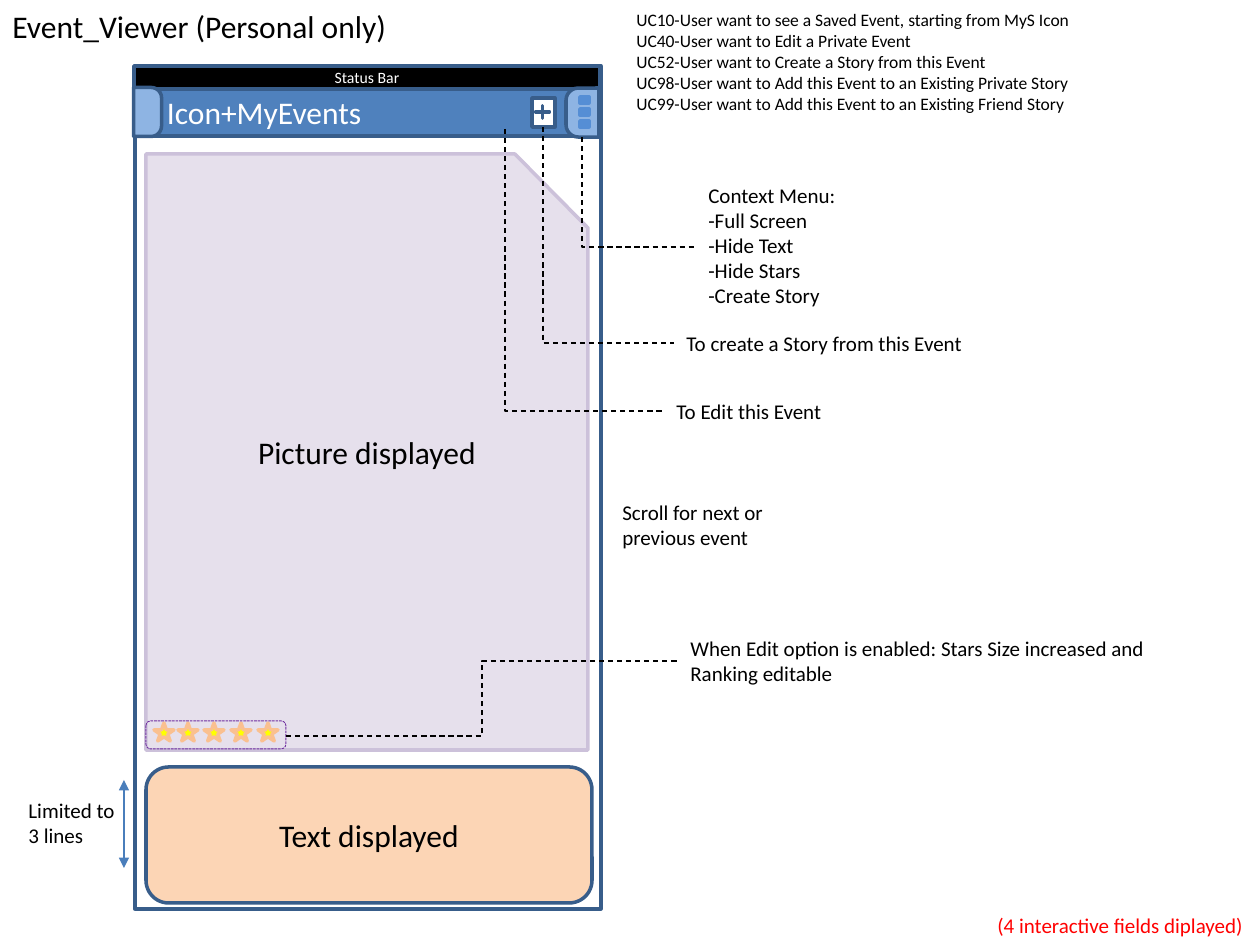
from lxml.etree import SubElement
from pptx import Presentation
from pptx.dml.color import RGBColor
from pptx.enum.dml import MSO_LINE
from pptx.enum.shapes import MSO_CONNECTOR, MSO_SHAPE
from pptx.enum.text import MSO_ANCHOR, MSO_AUTO_SIZE, PP_ALIGN
from pptx.oxml.ns import qn
from pptx.util import Emu, Pt

PX = 914400 / 126
NAVY = "385D8A"
BLACK = "000000"
WHITE = "FFFFFF"


def px(*values):
    return [Emu(round(value * PX)) for value in values]


def color(value):
    return RGBColor.from_string(value)


class Wireframe:
    """Draws styled wireframe elements on the current page."""

    font = "Calibri"

    def __init__(self, deck):
        self.page = deck.slides.add_slide(deck.slide_layouts[6])
        self.shapes = self.page.shapes

    def add_lines(self, frame, lines, size, ink, align=PP_ALIGN.LEFT):
        for index, line in enumerate(lines):
            para = frame.paragraphs[0] if index == 0 else frame.add_paragraph()
            para.alignment = align
            span = para.add_run()
            span.text = line
            span.font.name = self.font
            span.font.size = Pt(size)
            span.font.color.rgb = color(ink)

    def note(self, area, *lines, size=12, ink=BLACK, wrap=True):
        box = self.shapes.add_textbox(*px(*area))
        frame = box.text_frame
        frame.word_wrap = wrap
        frame.auto_size = MSO_AUTO_SIZE.SHAPE_TO_FIT_TEXT
        self.add_lines(frame, lines, size, ink)

    def outline(self, item, ink, width, dash=None):
        item.line.color.rgb = color(ink)
        item.line.width = Pt(width)
        if dash:
            item.line.dash_style = dash

    def paint(self, shape, fill, ink, width=2, dash=None):
        shape.shadow.inherit = False
        if fill:
            shape.fill.solid()
            shape.fill.fore_color.rgb = color(fill)
        else:
            shape.fill.background()
        self.outline(shape, ink, width, dash)
        return shape

    def shape(self, kind, area, fill, ink=NAVY, width=2, dash=None, adjust=(), turn=0):
        shape = self.shapes.add_shape(kind, *px(*area))
        for index, value in enumerate(adjust):
            shape.adjustments[index] = value
        shape.rotation = turn
        return self.paint(shape, fill, ink, width, dash)

    def polygon(self, points, fill, ink):
        corners = [px(*point) for point in points]
        builder = self.shapes.build_freeform(*corners[0])
        builder.add_line_segments(corners[1:], close=True)
        return self.paint(builder.convert_to_shape(), fill, ink)

    def label(self, shape, text, size=18, ink=BLACK, align=PP_ALIGN.CENTER, inset=None):
        frame = shape.text_frame
        frame.word_wrap = True
        frame.vertical_anchor = MSO_ANCHOR.MIDDLE
        if inset is not None:
            frame.margin_left = px(inset)[0]
        self.add_lines(frame, [text], size, ink, align)

    def connector(self, kind, start, end, ink=BLACK, dash=None):
        line = self.shapes.add_connector(kind, *px(*start, *end))
        self.outline(line, ink, 0.75, dash)
        SubElement(line._element.spPr, qn("a:effectLst"))
        return line

    def double_arrow(self, start, end, ink):
        line = self.connector(MSO_CONNECTOR.STRAIGHT, start, end, ink)
        stroke = line._element.spPr.find(qn("a:ln"))
        for tip in ("a:headEnd", "a:tailEnd"):
            SubElement(stroke, qn(tip), type="triangle")

    def step(self, start, end):
        return self.connector(MSO_CONNECTOR.ELBOW, start, end, dash=MSO_LINE.DASH)

    def corner(self, start, end):
        (x1, y1), (x2, y2) = start, end
        middle_x, middle_y = (x1 + x2) / 2, (y1 + y2) / 2
        half_width, half_height = (y2 - y1) / 2, (x2 - x1) / 2
        line = self.step(
            (middle_x - half_width, middle_y - half_height),
            (middle_x + half_width, middle_y + half_height),
        )
        properties = line._element.spPr
        frame = properties.find(qn("a:xfrm"))
        frame.set("rot", "16200000")
        frame.set("flipH", "1")
        properties.find(qn("a:prstGeom")).set("prst", "bentConnector2")


def main():
    deck = Presentation()
    deck.slide_width, deck.slide_height = px(1260, 945)
    draw = Wireframe(deck)

    draw.note((0, 1, 402, 50), "Event_Viewer (Personal only)", size=18, wrap=False)
    draw.note((610, 493, 239, 63), "Scroll for next or previous event")
    draw.note(
        (624, 3, 630, 118),
        "UC10-User want to see a Saved Event, starting from MyS Icon",
        "UC40-User want to Edit a Private Event",
        "UC52-User want to Create a Story from this Event",
        "UC98-User want to Add this Event to an Existing Private Story",
        "UC99-User want to Add this Event to an Existing Friend Story",
        size=10,
    )

    draw.shape(MSO_SHAPE.RECTANGLE, (135, 66, 466, 843), None)
    text_panel = draw.shape(MSO_SHAPE.ROUNDED_RECTANGLE, (146, 767, 446, 136), "FCD5B5")
    draw.label(text_panel, "Text displayed")
    draw.double_arrow((124, 780), (124, 868), "4A7EBB")
    draw.note((16, 791, 121, 63), "Limited to 3 lines")

    picture_panel = draw.polygon(
        [(146, 154), (515, 154), (588, 228), (588, 750), (146, 750)], "E6E0EC", "CCC1DA"
    )
    draw.label(picture_panel, "Picture displayed")
    for left in (154, 178, 204, 231, 258):
        draw.shape(MSO_SHAPE.STAR_5_POINT, (left, 723, 20, 18), "FFFF00", "FAC090")

    title_bar = draw.shape(MSO_SHAPE.RECTANGLE, (134, 87, 466, 49), "4F81BD")
    draw.label(title_bar, "Icon+MyEvents", ink=WHITE, align=PP_ALIGN.LEFT, inset=33)
    status_bar = draw.shape(MSO_SHAPE.RECTANGLE, (134, 66, 466, 23), BLACK)
    draw.label(status_bar, "Status Bar", size=9, ink=WHITE)

    for area, turn in (((123, 98, 49, 28), 90), ((558, 96, 49, 33), 270)):
        draw.shape(MSO_SHAPE.ROUND_2_SAME_RECTANGLE, area, "8EB4E3", adjust=(0.37, 0), turn=turn)
    for row in range(3):
        draw.shape(MSO_SHAPE.RECTANGLE, (580, 97 + 12 * row, 9, 6), "558ED5", "558ED5")

    draw.shape(
        MSO_SHAPE.ROUNDED_RECTANGLE, (146, 721, 140, 28), None, "7030A0", 0.5, MSO_LINE.SQUARE_DOT
    )
    draw.note(
        (678, 629, 489, 63),
        "When Edit option is enabled: Stars Size increased and Ranking editable",
    )
    draw.step((286, 736), (678, 661))

    draw.shape(MSO_SHAPE.RECTANGLE, (532, 98, 23, 29), WHITE)
    draw.shape(MSO_SHAPE.MATH_PLUS, (533, 103, 19, 18), "4F81BD", adjust=(0.02,))
    draw.note((674, 324, 345, 38), "To create a Story from this Event")
    draw.corner((543, 127), (674, 343))
    draw.note((664, 392, 258, 38), "To Edit this Event")
    draw.corner((505, 129), (664, 411))
    draw.note(
        (696, 176, 152, 139),
        "Context Menu:",
        "-Full Screen",
        "-Hide Text",
        "-Hide Stars",
        "-Create Story",
        wrap=False,
    )
    draw.corner((582, 137), (694, 247))
    draw.note((985, 906, 272, 38), "(4 interactive fields diplayed)", ink="FF0000", wrap=False)
    deck.save("out.pptx")


if __name__ == "__main__":
    main()
